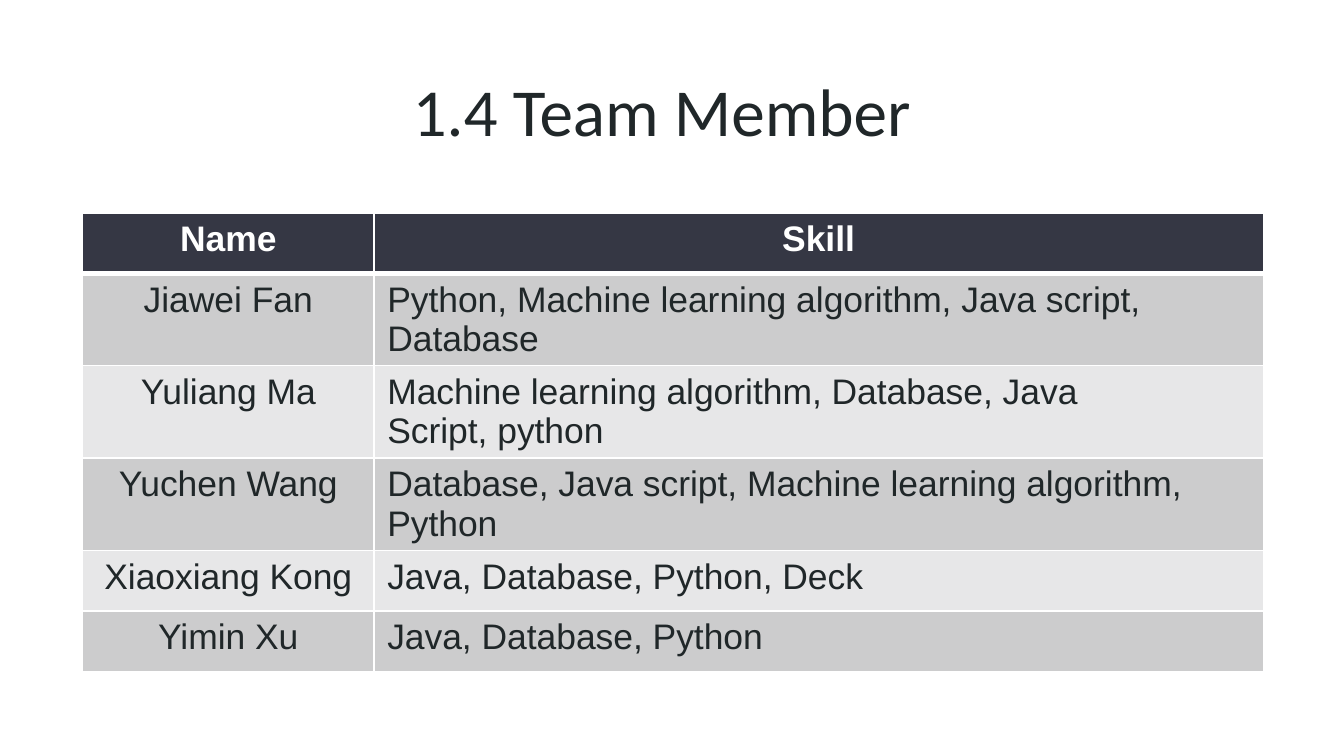
from typing import NamedTuple

from lxml.etree import SubElement
from pptx import Presentation
from pptx.dml.color import RGBColor
from pptx.enum.text import MSO_ANCHOR, MSO_AUTO_SIZE, PP_ALIGN
from pptx.oxml.ns import qn
from pptx.util import Pt

COLORS = {
    "ink": "202729",
    "white": "FFFFFF",
    "header": "353744",
    "odd_row": "CCCCCD",
    "even_row": "E7E7E8",
}
SINGLE_ROW, DOUBLE_ROW = 32.4, 49.5
COLUMN_WIDTHS = (156, 476.5)


class Member(NamedTuple):
    name: str
    skills: str
    row_height: float


class CellStyle(NamedTuple):
    fill: str
    font: str
    bold: bool
    bottom_border: float


HEADER = Member("Name", "Skill", SINGLE_ROW)
MEMBERS = [
    Member("Jiawei Fan", "Python, Machine learning algorithm, Java script, Database", DOUBLE_ROW),
    Member("Yuliang Ma", "Machine learning algorithm, Database, Java\nScript, python", DOUBLE_ROW),
    Member("Yuchen Wang", "Database, Java script, Machine learning algorithm, Python", DOUBLE_ROW),
    Member("Xiaoxiang Kong", "Java, Database, Python, Deck", SINGLE_ROW),
    Member("Yimin Xu", "Java, Database, Python", SINGLE_ROW),
]
HEADER_STYLE = CellStyle("header", "white", True, 3)
ODD_STYLE = CellStyle("odd_row", "ink", False, 1)
EVEN_STYLE = CellStyle("even_row", "ink", False, 1)


def rgb(color: str) -> RGBColor:
    return RGBColor.from_string(COLORS[color])


def format_text(frame, font_name: str, size: float, color: str, bold: bool, align) -> None:
    for paragraph in frame.paragraphs:
        paragraph.alignment = align
        for run in paragraph.runs:
            run.font.name = font_name
            run.font.size = Pt(size)
            run.font.bold = bold
            run.font.color.rgb = rgb(color)


def add_borders(cell, top: float, bottom: float) -> None:
    """Draw white lines round a cell; widths are in points."""
    properties = cell._tc.get_or_add_tcPr()
    widths = {"a:lnL": 1, "a:lnR": 1, "a:lnT": top, "a:lnB": bottom}
    for position, (tag, width) in enumerate(widths.items()):
        line = SubElement(properties, qn(tag), w=str(Pt(width)))
        fill = SubElement(line, qn("a:solidFill"))
        SubElement(fill, qn("a:srgbClr"), val=COLORS["white"])
        properties.insert(position, line)


def fill_cell(cell, text: str, style: CellStyle, align, top_border: float) -> None:
    cell.text_frame.text = text
    cell.margin_left = cell.margin_right = Pt(7.2)
    cell.margin_top = cell.margin_bottom = Pt(3.6)
    cell.fill.solid()
    cell.fill.fore_color.rgb = rgb(style.fill)
    format_text(cell.text_frame, "Arial", 19, style.font, style.bold, align)
    add_borders(cell, top_border, style.bottom_border)


def add_title(slide, text: str) -> None:
    title = slide.shapes.title
    title.left, title.top, title.width, title.height = Pt(193.7), Pt(30.2), Pt(321.8), Pt(56.2)
    frame = title.text_frame
    frame.text = text
    frame.auto_size = MSO_AUTO_SIZE.NONE
    frame.vertical_anchor = MSO_ANCHOR.TOP
    frame.margin_left = frame.margin_right = Pt(7.2)
    frame.margin_top = frame.margin_bottom = Pt(7.2)
    format_text(frame, "Calibri", 36, "ink", False, PP_ALIGN.CENTER)


def add_member_table(slide, members: list[Member]) -> None:
    rows = [HEADER, *members]
    height = sum(row.row_height for row in rows)
    table = slide.shapes.add_table(
        len(rows), len(COLUMN_WIDTHS), Pt(44.3), Pt(114), Pt(sum(COLUMN_WIDTHS)), Pt(height)
    ).table
    for column, width in zip(table.columns, COLUMN_WIDTHS):
        column.width = Pt(width)

    top_border = 1
    for index, member in enumerate(rows):
        is_header = index == 0
        style = HEADER_STYLE if is_header else ODD_STYLE if index % 2 else EVEN_STYLE
        skill_align = PP_ALIGN.CENTER if is_header else PP_ALIGN.LEFT
        table.rows[index].height = Pt(member.row_height)
        fill_cell(table.cell(index, 0), member.name, style, PP_ALIGN.CENTER, top_border)
        fill_cell(table.cell(index, 1), member.skills, style, skill_align, top_border)
        top_border = style.bottom_border


def main() -> None:
    presentation = Presentation()
    presentation.slide_width, presentation.slide_height = Pt(720), Pt(405)
    slide = presentation.slides.add_slide(presentation.slide_layouts[5])
    add_title(slide, "1.4 Team Member")
    add_member_table(slide, MEMBERS)
    presentation.save("out.pptx")


if __name__ == "__main__":
    main()
